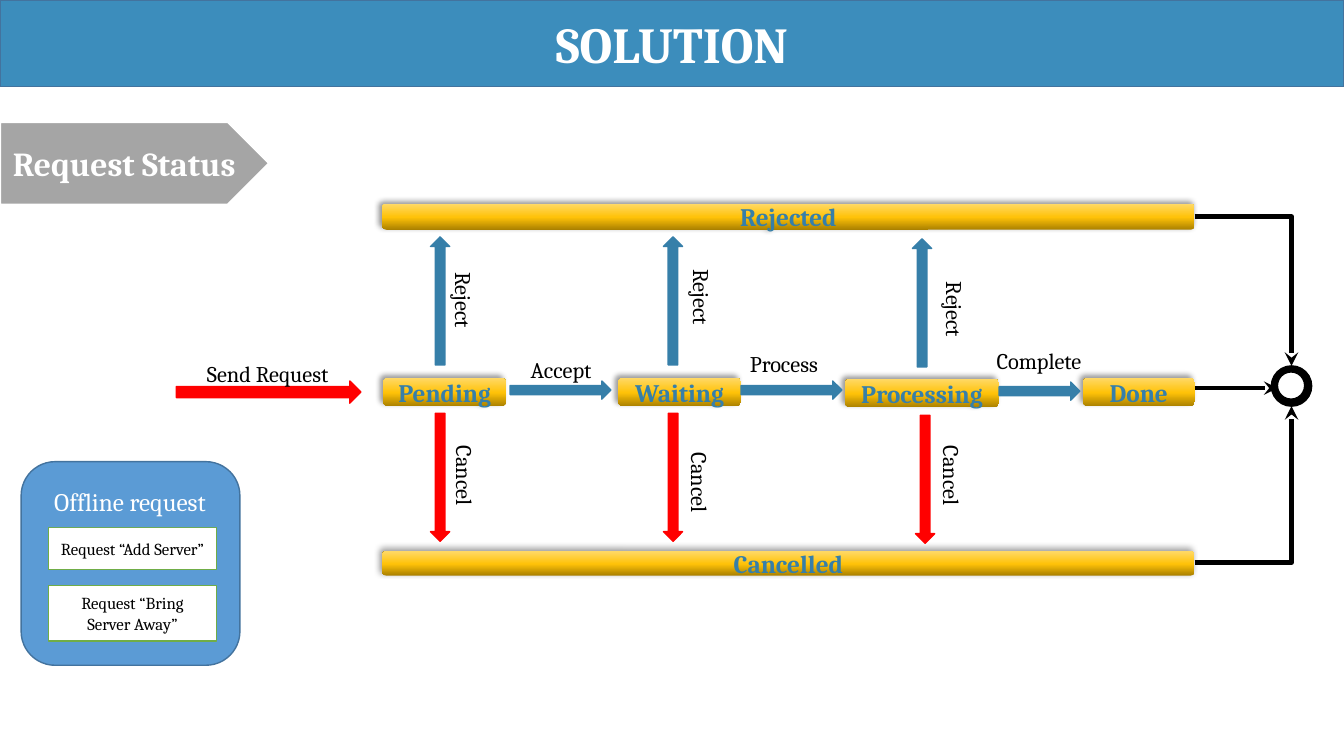
from lxml import etree
from pptx import Presentation
from pptx.dml.color import RGBColor
from pptx.enum.shapes import MSO_CONNECTOR, MSO_SHAPE
from pptx.enum.text import MSO_ANCHOR, PP_ALIGN
from pptx.oxml import parse_xml
from pptx.oxml.ns import qn
from pptx.util import Inches, Pt

RECT = MSO_SHAPE.RECTANGLE
ROUND = MSO_SHAPE.ROUNDED_RECTANGLE
ARROW = MSO_SHAPE.RIGHT_ARROW
OVAL = MSO_SHAPE.OVAL
PENTAGON = MSO_SHAPE.PENTAGON
STRAIGHT = MSO_CONNECTOR.STRAIGHT
ELBOW = MSO_CONNECTOR.ELBOW
MIDDLE = MSO_ANCHOR.MIDDLE
TOP = MSO_ANCHOR.TOP
CENTER = PP_ALIGN.CENTER

BLUE, RED, BLACK, WHITE = "367FA9", "FF0000", "000000", "FFFFFF"
NS = 'xmlns:a="http://schemas.openxmlformats.org/drawingml/2006/main"'
GOLD = f"""<a:gradFill {NS} rotWithShape="1"><a:gsLst>
<a:gs pos="0"><a:srgbClr val="AB8100"/></a:gs>
<a:gs pos="48000"><a:srgbClr val="FFC208"/></a:gs>
<a:gs pos="100000"><a:srgbClr val="FFD966"/></a:gs>
</a:gsLst><a:lin ang="16200000" scaled="0"/></a:gradFill>"""
SHADOW = f"""<a:effectLst {NS}><a:outerShdw blurRad="50800" dist="38100" dir="13500000"
algn="br" rotWithShape="0"><a:srgbClr val="000000"><a:alpha val="40000"/></a:srgbClr>
</a:outerShdw></a:effectLst>"""


def add_box(shapes, kind, at, fill=None, line=None, width=1, rotation=0):
    s = shapes.add_shape(kind, *[Inches(v) for v in at])
    s.shadow.inherit = False
    s.rotation = rotation
    if fill:
        s.fill.solid()
        s.fill.fore_color.rgb = RGBColor.from_string(fill)
    if line:
        s.line.color.rgb = RGBColor.from_string(line)
        s.line.width = Pt(width)
    else:
        s.line.fill.background()
    return s


def add_text(s, text, size=16, color=BLACK, bold=False, anchor=MIDDLE, spacing=1.0):
    tf = s.text_frame
    tf.word_wrap = True
    tf.vertical_anchor = anchor
    p = tf.paragraphs[0]
    p.alignment = CENTER
    p.line_spacing = spacing
    r = p.add_run()
    r.text = text
    r.font.name = "Cambria"
    r.font.size = Pt(size)
    r.font.bold = bold
    r.font.color.rgb = RGBColor.from_string(color)


prs = Presentation()
prs.slide_width = Inches(13.33)
prs.slide_height = Inches(7.5)
slide = prs.slides.add_slide(prs.slide_layouts[6])
shapes = slide.shapes

title = add_box(shapes, RECT, (0, 0, 13.33, 0.86), "3C8DBC", "43739E")
add_text(title, "SOLUTION", size=36, color=WHITE, bold=True)

offline = shapes.add_group_shape().shapes
add_box(offline, ROUND, (0.21, 4.58, 2.17, 2.02), "5B9BD5", "43739E")
for text, top, height in [("Request “Add Server”", 5.23, 0.42),
                          ("Request “Bring Server Away”", 5.81, 0.55)]:
    s = add_box(offline, RECT, (0.48, top, 1.67, height), WHITE, "70AD47")
    add_text(s, text, size=12)
heading = add_box(offline, RECT, (0.32, 4.71, 1.94, 0.52), "5B9BD5")
add_text(heading, "Offline request", size=18, color=WHITE)

states = [
    ("Pending", 3.8, 3.75, 1.22, 0.28),
    ("Waiting", 6.13, 3.75, 1.22, 0.28),
    ("Cancelled", 3.79, 5.47, 8.06, 0.24),
    ("Rejected", 3.79, 2.02, 8.06, 0.26),
    ("Processing", 8.38, 3.76, 1.53, 0.28),
    ("Done", 10.74, 3.75, 1.11, 0.28),
]
for name, *at in states:
    s = add_box(shapes, ROUND, at)
    spPr = s.element.spPr
    spPr.find(qn("a:prstGeom")).addnext(parse_xml(GOLD))
    spPr.replace(spPr.find(qn("a:effectLst")), parse_xml(SHADOW))
    add_text(s, name, size=18, color=BLUE, bold=True)

arrows = [(1.75, 3.78, 1.83, 0.22, RED, 0)]
arrows += [(x, y, w, 0.18, BLUE, 0)
           for x, y, w in [(5.06, 3.78, 1), (7.35, 3.78, 1), (9.91, 3.79, 0.8)]]
arrows += [(x, y, 1.27, 0.19, BLUE, 270)
           for x, y in [(3.73, 2.89), (6.04, 2.89), (8.51, 2.91)]]
arrows += [(x, y, 1.27, 0.19, RED, 90)
           for x, y in [(3.73, 4.64), (6.04, 4.64), (8.54, 4.66)]]
for *at, color, rotation in arrows:
    add_box(shapes, ARROW, at, color, color, rotation=rotation)

labels = [
    ("Send Request", 1.82, 3.55, 0),
    ("Accept", 4.73, 3.51, 0),
    ("Process", 6.94, 3.46, 0),
    ("Complete", 9.47, 3.43, 0),
    ("Reject", 3.74, 2.8, 90),
    ("Reject", 6.1, 2.77, 90),
    ("Reject", 8.61, 2.89, 90),
    ("Cancel", 3.75, 4.54, 90),
    ("Cancel", 6.08, 4.61, 90),
    ("Cancel", 8.58, 4.54, 90),
]
for text, left, top, rotation in labels:
    s = shapes.add_textbox(Inches(left), Inches(top), Inches(1.67), Inches(0.36))
    s.rotation = rotation
    add_text(s, text, anchor=TOP, spacing=0.9)

add_box(shapes, OVAL, (12.61, 3.63, 0.4, 0.4), BLACK, BLACK)
add_box(shapes, OVAL, (12.67, 3.69, 0.27, 0.27), WHITE, BLACK)

for kind, *ends in [(ELBOW, 11.85, 2.15, 12.81, 3.63),
                    (ELBOW, 11.85, 5.58, 12.81, 4.03),
                    (STRAIGHT, 11.85, 3.85, 12.67, 3.85)]:
    s = shapes.add_connector(kind, *[Inches(v) for v in ends])
    s.line.color.rgb = RGBColor.from_string(BLACK)
    s.line.width = Pt(3.25)
    etree.SubElement(s.line._get_or_add_ln(), qn("a:tailEnd"), type="stealth")
    spPr = s._element.spPr
    etree.SubElement(spPr, qn("a:effectLst"))
    if kind == ELBOW:
        spPr.find(qn("a:prstGeom")).set("prst", "bentConnector2")

banner = add_box(shapes, PENTAGON, (0, 1.21, 2.67, 0.82), "A5A5A5", WHITE, width=1.5)
add_text(banner, "Request Status", size=24, color=WHITE, bold=True)

prs.save("out.pptx")
